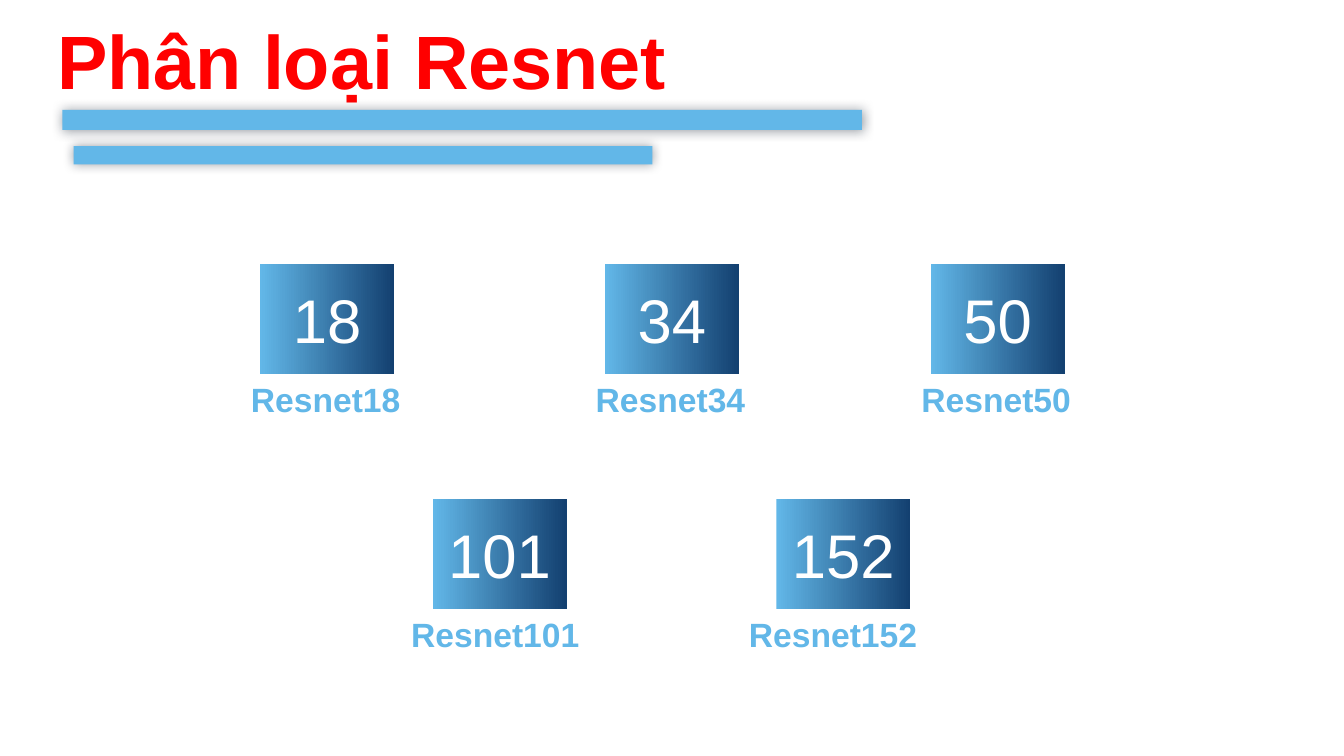
from lxml import etree
from pptx import Presentation
from pptx import util as u
from pptx.dml.color import RGBColor
from pptx.enum import shapes, text
from pptx.oxml.ns import qn

PX = 9144  # EMU per px, 100 px to the inch
HUES = {"red": "FF0000", "sky": "62B7E8", "navy": "134070",
        "shade": "091424", "white": "FFFFFF"}


def hue(name):
    return RGBColor.from_string(HUES[name])


def write(frame, words, size, color, bold=False, align=None, inset=10):
    frame.word_wrap = True
    frame.margin_left = frame.margin_right = inset * PX
    frame.margin_top = frame.margin_bottom = 5 * PX
    para = frame.paragraphs[0]
    para.alignment = align
    run = para.add_run()
    run.text = words
    run.font.name = "Arial"
    run.font.size = u.Pt(size)
    run.font.bold = bold
    run.font.color.rgb = hue(color)


def glow(shape, blur=8, alpha=40):
    """Add a soft, centred outer shadow; blur in points, alpha in percent."""
    effect = shape._element.spPr.find(qn("a:effectLst"))
    outer = etree.SubElement(effect, qn("a:outerShdw"), blurRad=str(u.Pt(blur)),
                             dist="0", dir="0", algn="ctr", rotWithShape="0")
    color = etree.SubElement(outer, qn("a:srgbClr"), val=HUES["shade"])
    etree.SubElement(color, qn("a:alpha"), val=str(alpha * 1000))


class Page:
    def __init__(self, deck):
        self.slide = deck.slides.add_slide(deck.slide_layouts[6])
        self.items = self.slide.shapes

    def rect(self, items, *area):
        shape = items.add_shape(shapes.MSO_SHAPE.RECTANGLE, *(n * PX for n in area))
        shape.shadow.inherit = False
        shape.line.fill.background()
        return shape

    def label(self, items, area, words, **style):
        box = items.add_textbox(*(n * PX for n in area))
        write(box.text_frame, words, **style)

    def bar(self, *area):
        shape = self.rect(self.items, *area)
        shape.fill.solid()
        shape.fill.fore_color.rgb = hue("sky")
        glow(shape)

    def tile(self, left, top, depth, shift, width):
        """Group a numbered gradient box with its caption, shifted left of it."""
        items = self.items.add_group_shape().shapes
        shape = self.rect(items, left, top, 133, 109)
        shape.fill.gradient()
        shape.fill.gradient_angle = 0
        for stop, name in zip(shape.fill.gradient_stops, ("sky", "navy")):
            stop.color.rgb = hue(name)
        for stop, place in zip(shape.fill.gradient_stops, (0, 1)):
            stop.position = place
        shape.text_frame.vertical_anchor = text.MSO_ANCHOR.MIDDLE
        write(shape.text_frame, str(depth), size=44, color="white",
              align=text.PP_ALIGN.CENTER)
        self.label(items, (left - shift, top + 109, width, 50), f"Resnet{depth}",
                   size=24, color="sky", bold=True)


def main():
    deck = Presentation()
    deck.slide_width, deck.slide_height = u.Inches(13.33), u.Inches(7.5)
    page = Page(deck)
    page.label(page.items, (45, 9, 706, 101), "Phân loại Resnet",
               size=54, color="red", bold=True, inset=12)
    page.bar(62, 109, 793, 20)
    page.bar(73, 145, 574, 18)
    upper, lower = 262, 495
    for model in ((258, upper, 18, 19, 171), (600, upper, 34, 19, 171),
                  (923, upper, 50, 19, 171), (429, lower, 101, 31, 197),
                  (770, lower, 152, 37, 206)):
        page.tile(*model)
    deck.save("out.pptx")


if __name__ == "__main__":
    main()
